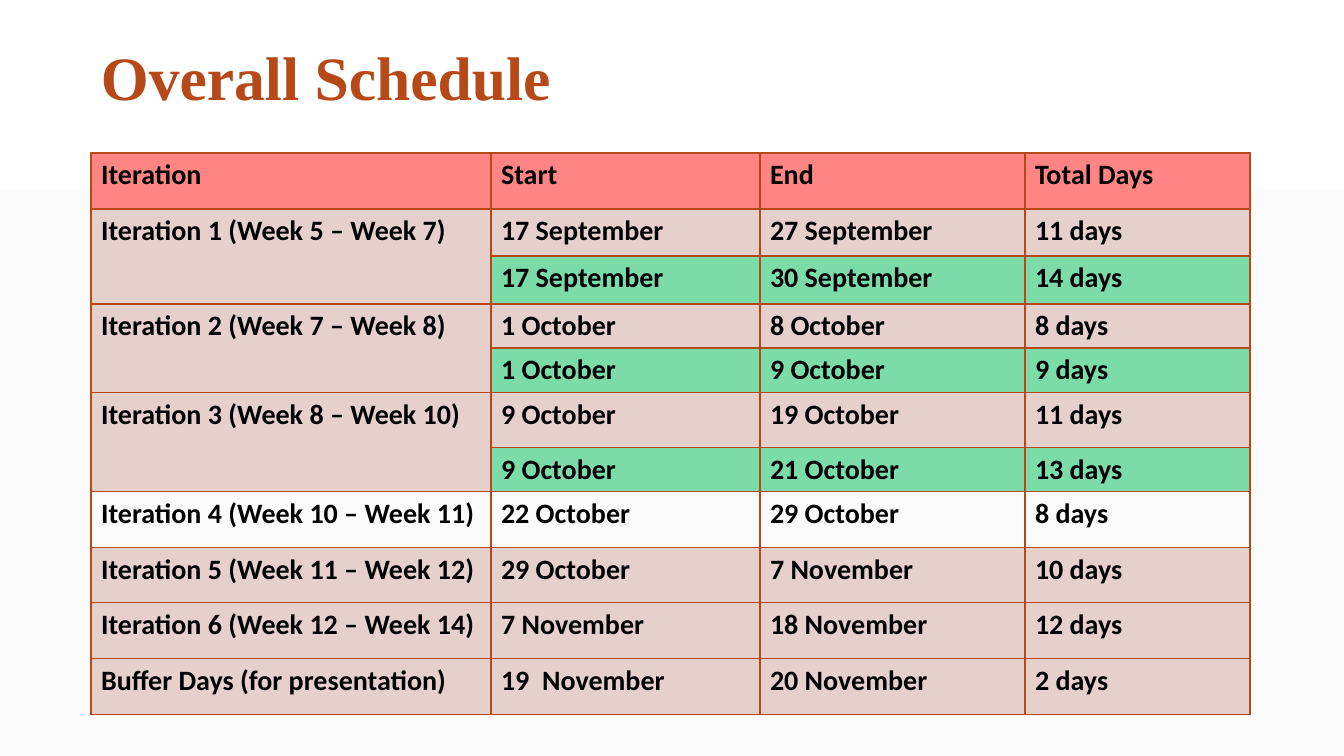
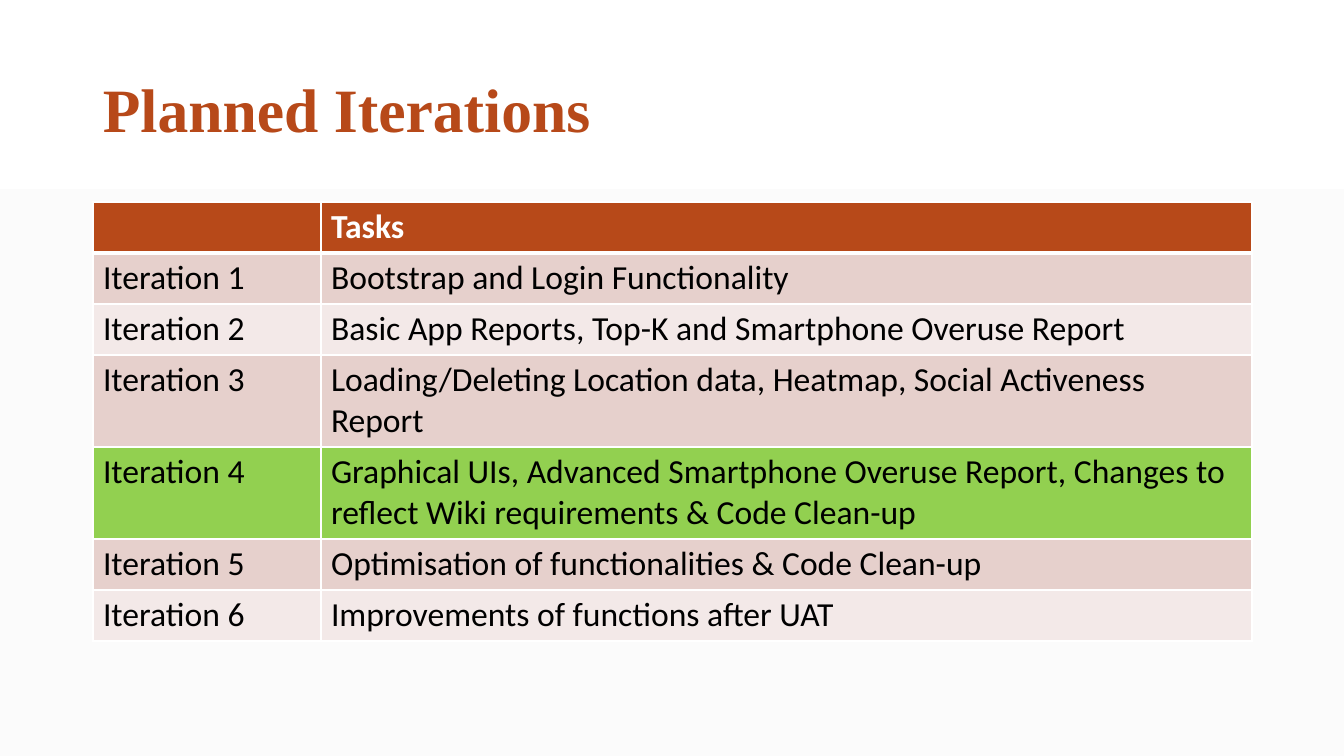
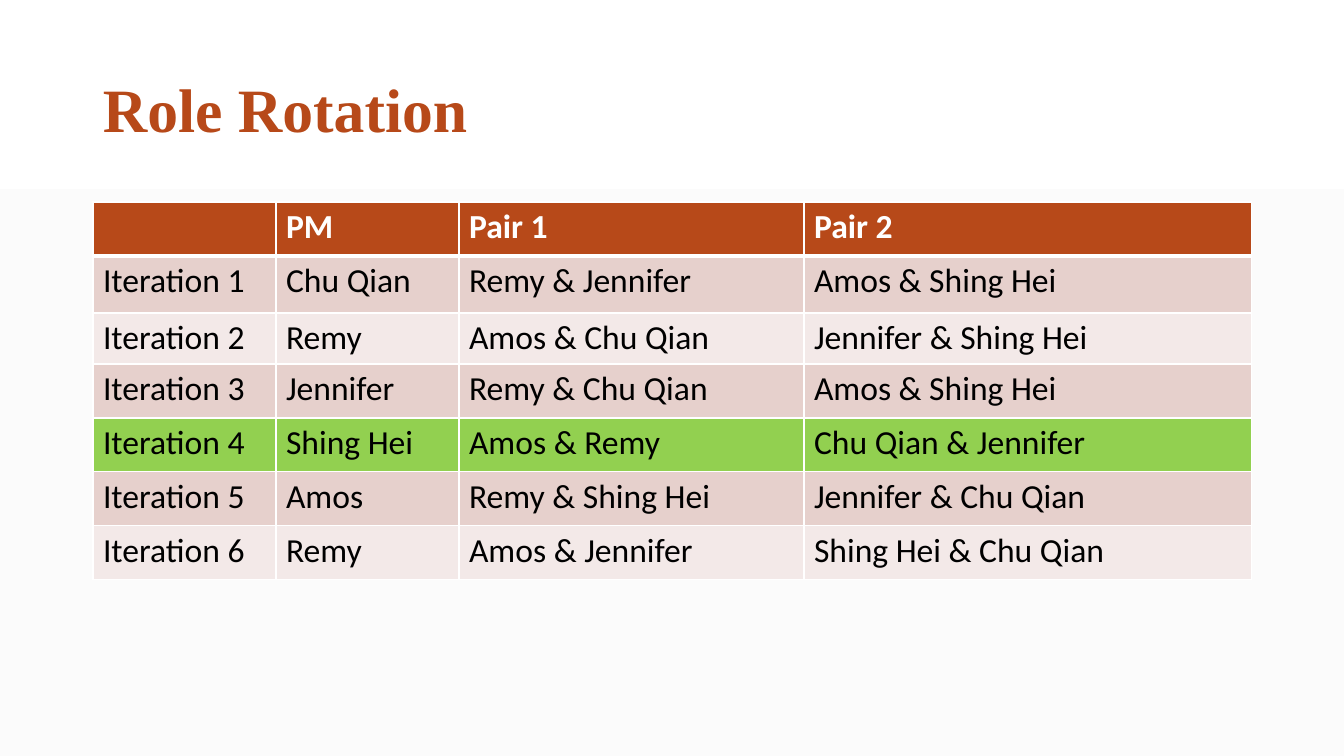
from lxml.etree import SubElement
from pptx import Presentation
from pptx.dml.color import RGBColor
from pptx.enum.text import MSO_ANCHOR as Anchor
from pptx.oxml import parse_xml
from pptx.oxml.ns import nsdecls, qn
from pptx.util import Emu, Pt

PIXELS_PER_INCH = 100.8
COLORS = {
    "white": "FFFFFF", "mist": "FBFBFB", "black": "000000", "rust": "B74919",
    "coral": "FF8585", "rose": "E6D0CC", "pale": "F3E9E8",
    "mint": "7BDBA9", "green": "92D050",
}
TITLE_FONT, BODY_FONT = "Times New Roman", "Calibri"


def px(pixels):
    """Turn pixels into EMU."""
    return Emu(round(pixels * 914400 / PIXELS_PER_INCH))


def rgb(name):
    """Look up a named colour."""
    return RGBColor.from_string(COLORS[name])


def line_xml(tag, color, points):
    """Build a solid line element for a cell edge or a text outline."""
    line = parse_xml(f'<a:{tag} {nsdecls("a")} w="{round(points * 12700)}"/>')
    fill = SubElement(line, qn("a:solidFill"))
    SubElement(fill, qn("a:srgbClr"), val=COLORS[color])
    return line


def write_text(frame, text, font=BODY_FONT, size=20, color="black", bold=False,
               spacing=None, outline=None):
    """Write one formatted paragraph into a text frame."""
    paragraph = frame.paragraphs[0]
    if spacing:
        paragraph.line_spacing = spacing
    run = paragraph.add_run()
    run.text = text
    run.font.name, run.font.size, run.font.bold = font, Pt(size), bold
    run.font.color.rgb = rgb(color)
    if outline:
        run.font._element.insert(0, line_xml("ln", outline, 0.75))


class Deck:
    """Holds the shared style and the current slide."""

    def __init__(self):
        """Start a wide presentation with a soft vertical gradient."""
        self.presentation = Presentation()
        self.presentation.slide_width = px(1344)
        self.presentation.slide_height = px(756)
        self.slide = None
        fill = self.presentation.slide_master.background.fill
        fill.gradient()
        fill.gradient_angle = 270
        stops = zip(fill.gradient_stops, ("white", "mist"), (0, 0.5))
        for stop, color, position in stops:
            stop.color.rgb = rgb(color)
            stop.position = position

    def add_slide(self, title, left=93, top=40):
        """Add a blank slide with its title."""
        layout = self.presentation.slide_layouts[6]
        self.slide = self.presentation.slides.add_slide(layout)
        box = self.slide.shapes.add_textbox(px(left), px(top), px(1159), px(146))
        frame = box.text_frame
        frame.word_wrap = True
        frame.vertical_anchor = Anchor.MIDDLE
        write_text(frame, title, font=TITLE_FONT, size=44, color="rust",
                   bold=True, spacing=0.9, outline="white")

    def add_table(self, left, top, widths, heights):
        """Add a plain table with the given column widths and row heights."""
        frame = self.slide.shapes.add_table(
            len(heights), len(widths), px(left), px(top),
            px(sum(widths)), px(sum(heights)))
        table = frame.table
        table.first_row = table.horz_banding = False
        for column, width in zip(table.columns, widths):
            column.width = px(width)
        for row, height in zip(table.rows, heights):
            row.height = px(height)
        return table

    def fill_row(self, row, texts, fill, border, bottom=1, **text_format):
        """Style and write the cells of one row; no fill name means clear."""
        for cell, text in zip(row.cells, texts):
            if fill:
                cell.fill.solid()
                cell.fill.fore_color.rgb = rgb(fill)
            else:
                cell.fill.background()
            edges = {"lnL": 1, "lnR": 1, "lnT": 1, "lnB": bottom}
            for index, (edge, points) in enumerate(edges.items()):
                properties = cell._tc.get_or_add_tcPr()
                properties.insert(index, line_xml(edge, border, points))
            if text:
                write_text(cell.text_frame, text, **text_format)

    def add_schedule(self, headings, phases, widths, heights):
        """Add the schedule; a phase's second line shows the revised dates."""
        table = self.add_table(91, 153, widths, heights)
        style = {"border": "rust", "bold": True}
        self.fill_row(table.rows[0], headings, "coral", **style)
        index = 1
        for name, fill, *lines in phases:
            if len(lines) == 2:
                table.cell(index, 0).merge(table.cell(index + 1, 0))
            labels = (name, "")
            for label, line, tone in zip(labels, lines, (fill, "mint")):
                self.fill_row(table.rows[index], (label, *line), tone, **style)
                index += 1

    def add_iterations(self, headings, iterations, widths, heights, current=4):
        """Add a banded table of iterations with the current one in green."""
        table = self.add_table(93, 202, widths, heights)
        style = {"border": "white", "size": 24}
        self.fill_row(table.rows[0], ("", *headings), "rust", bottom=3,
                      color="white", bold=True, **style)
        for number, texts in enumerate(iterations, start=1):
            fill = "rose" if number % 2 else "pale"
            if number == current:
                fill = "green"
            self.fill_row(table.rows[number], (f"Iteration {number}", *texts),
                          fill, **style)


deck = Deck()

deck.add_slide("Overall Schedule", left=91, top=8)
deck.add_schedule(
    ("Iteration", "Start", "End", "Total Days"),
    [
        ("Iteration 1 (Week 5 – Week 7)", "rose",
         ("17 September", "27 September", "11 days"),
         ("17 September", "30 September", "14 days")),
        ("Iteration 2 (Week 7 – Week 8)", "rose",
         ("1 October", "8 October", "8 days"),
         ("1 October", "9 October", "9 days")),
        ("Iteration 3 (Week 8 – Week 10)", "rose",
         ("9 October", "19 October", "11 days"),
         ("9 October", "21 October", "13 days")),
        ("Iteration 4 (Week 10 – Week 11)", None,
         ("22 October", "29 October", "8 days")),
        ("Iteration 5 (Week 11 – Week 12)", "rose",
         ("29 October", "7 November", "10 days")),
        ("Iteration 6 (Week 12 – Week 14)", "rose",
         ("7 November", "18 November", "12 days")),
        ("Buffer Days (for presentation)", "rose",
         ("19  November", "20 November", "2 days")),
    ],
    widths=(400, 269, 265, 225),
    heights=(56, 47, 48, 44, 45, 55, 44, 56, 55, 56, 56))

deck.add_slide("Planned Iterations")
deck.add_iterations(
    ("Tasks",),
    [
        ("Bootstrap and Login Functionality",),
        ("Basic App Reports, Top-K and Smartphone Overuse Report",),
        ("Loading/Deleting Location data, Heatmap, Social Activeness Report",),
        ("Graphical UIs, Advanced Smartphone Overuse Report, Changes to "
         "reflect Wiki requirements & Code Clean-up",),
        ("Optimisation of functionalities & Code Clean-up",),
        ("Improvements of functions after UAT",),
    ],
    widths=(228, 931),
    heights=(51, 51, 51, 92, 92, 51, 51))

deck.add_slide("Role Rotation")
deck.add_iterations(
    ("PM", "Pair 1", "Pair 2"),
    [
        ("Chu Qian", "Remy & Jennifer", "Amos & Shing Hei"),
        ("Remy", "Amos & Chu Qian", "Jennifer & Shing Hei"),
        ("Jennifer", "Remy & Chu Qian", "Amos & Shing Hei"),
        ("Shing Hei", "Amos & Remy", "Chu Qian & Jennifer"),
        ("Amos", "Remy & Shing Hei", "Jennifer & Chu Qian"),
        ("Remy", "Amos & Jennifer", "Shing Hei & Chu Qian"),
    ],
    widths=(183, 183, 345, 448),
    heights=(54, 57, 51, 54, 54, 54, 54))

deck.presentation.save("out.pptx")
